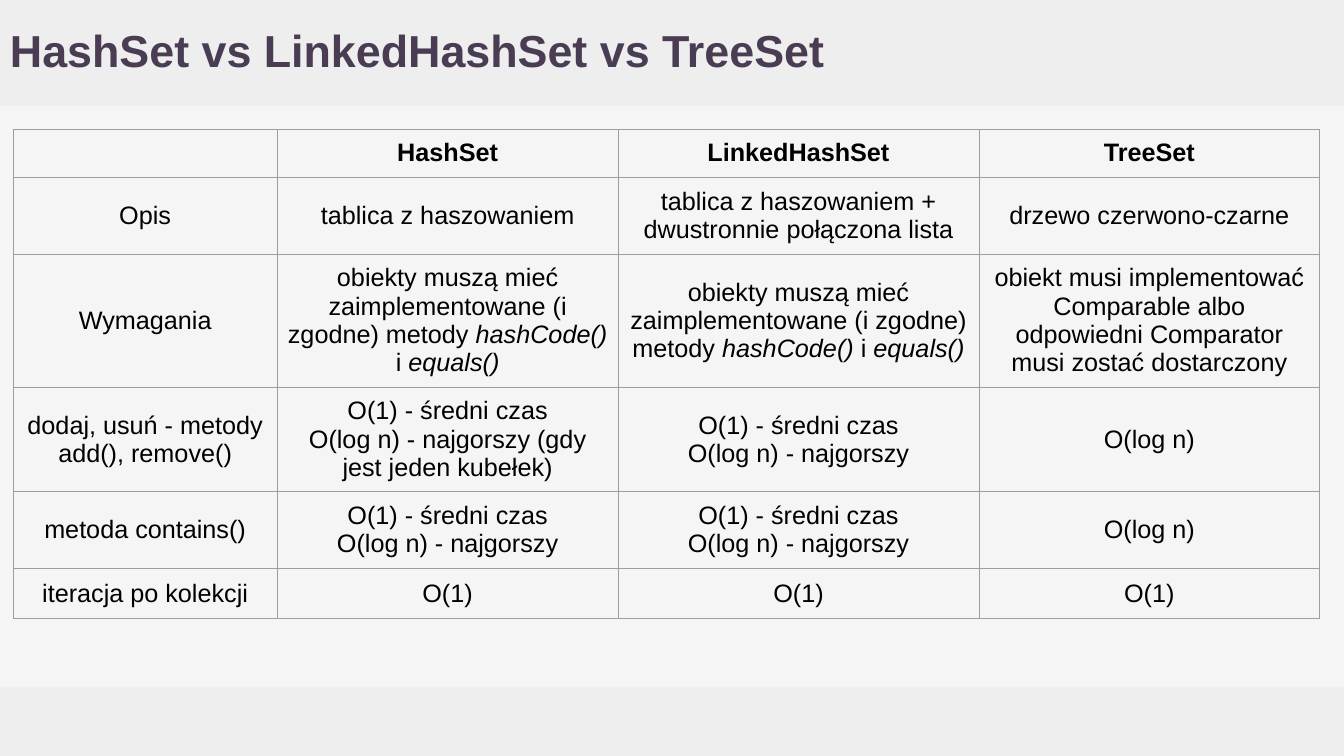
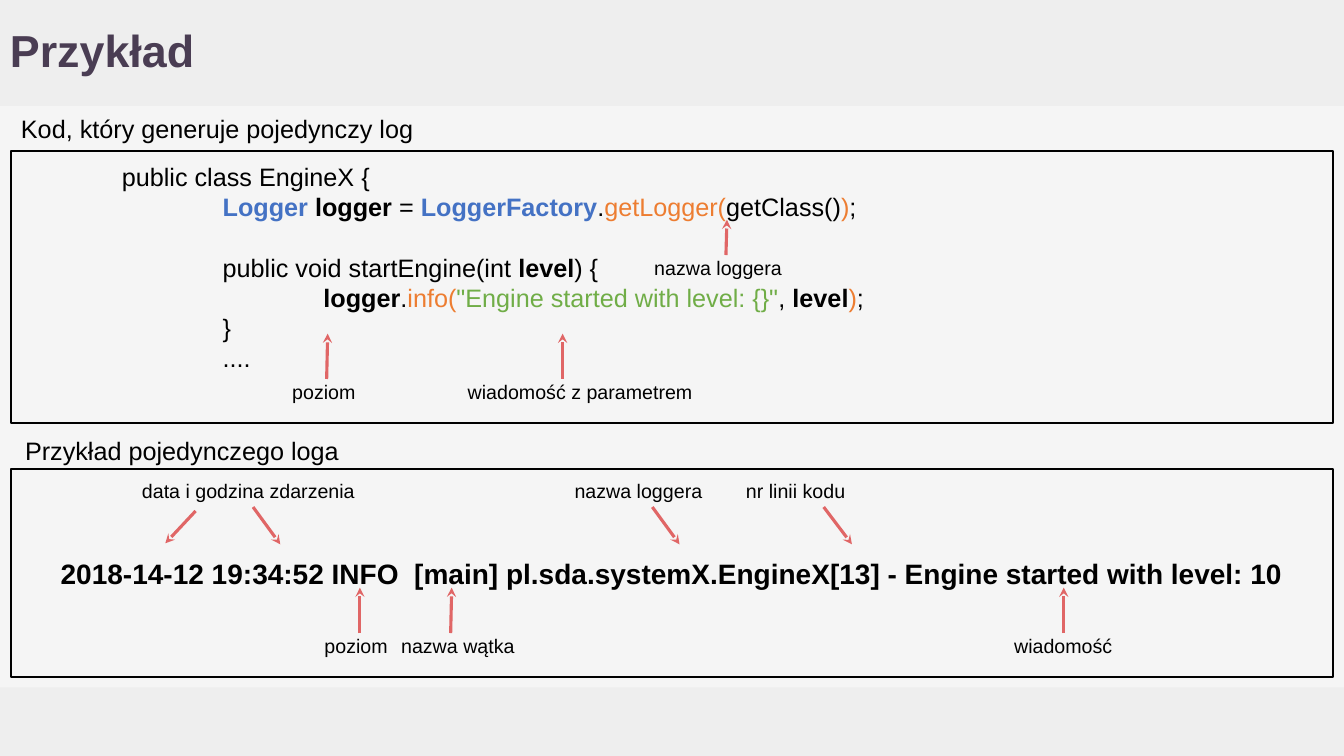
import pptx
import pptx.dml.color
import pptx.enum.shapes
import pptx.enum.text
import pptx.oxml
import pptx.oxml.ns
import pptx.util
from lxml import etree
from pptx.util import Inches

COLORS = {
    "background": "F5F5F5", "band": "EEEEEE", "title": "4A3D53",
    "text": "000000", "border": "9E9E9E", "arrow": "E06666",
    "type": "4472C4", "method": "ED7D31", "string": "70AD47",
}
RGB = {name: pptx.dml.color.RGBColor.from_string(value) for name, value in COLORS.items()}
RUN_STYLES = {
    "plain": {},
    "bold": {"bold": True},
    "italic": {"italic": True},
    "type": {"color": "type", "bold": True},
    "method": {"color": "method"},
    "string": {"color": "string"},
}
LEFT = pptx.enum.text.PP_ALIGN.LEFT
CENTER = pptx.enum.text.PP_ALIGN.CENTER
TOP = pptx.enum.text.MSO_ANCHOR.TOP
MIDDLE = pptx.enum.text.MSO_ANCHOR.MIDDLE
RECTANGLE = pptx.enum.shapes.MSO_SHAPE.RECTANGLE


def write_text(holder, lines, size=18, bold=False, color="text", align=LEFT, anchor=TOP,
               spacing=1.0, vertical_margin=0.1):
    """Fill a shape or table cell; a line is a string or a list of (text, run style)."""
    frame = holder.text_frame
    box = holder if hasattr(holder, "margin_left") else frame
    box.margin_left = box.margin_right = Inches(0.1)
    box.margin_top = box.margin_bottom = Inches(vertical_margin)
    box.vertical_anchor = anchor
    if box is frame:
        frame.word_wrap = True
    for index, line in enumerate(lines):
        paragraph = frame.add_paragraph() if index else frame.paragraphs[0]
        paragraph.alignment = align
        paragraph.line_spacing = spacing
        for text, style in [(line, "plain")] if isinstance(line, str) else line:
            look = RUN_STYLES[style]
            run = paragraph.add_run()
            run.text = text
            run.font.name = "Arial"
            run.font.size = pptx.util.Pt(size)
            run.font.bold = look.get("bold", bold)
            run.font.italic = look.get("italic", False)
            run.font.color.rgb = RGB[look.get("color", color)]


def add_rectangle(slide, left, top, width, height, fill=None, line=None):
    shape = slide.shapes.add_shape(
        RECTANGLE, Inches(left), Inches(top), Inches(width), Inches(height))
    shape.shadow.inherit = False
    if fill:
        shape.fill.solid()
        shape.fill.fore_color.rgb = RGB[fill]
    else:
        shape.fill.background()
    if line:
        shape.line.color.rgb = RGB[line]
        shape.line.width = pptx.util.Pt(1.5)
    else:
        shape.line.fill.background()
    return shape


presentation = pptx.Presentation()
presentation.slide_width = Inches(13.33)
presentation.slide_height = Inches(7.5)
master_fill = presentation.slide_master.background.fill
master_fill.solid()
master_fill.fore_color.rgb = RGB["background"]

# Bands and titles
slides = []
for title in ["HashSet vs LinkedHashSet vs TreeSet", "Przykład"]:
    slide = presentation.slides.add_slide(presentation.slide_layouts[6])
    for top, height in [(6.82, 0.68), (0, 1.05)]:
        add_rectangle(slide, 0, top, 13.33, height, fill="band")
    title_box = slide.shapes.add_textbox(0, 0, Inches(11.92), Inches(1.05))
    write_text(title_box, [title], size=32, bold=True, color="title", anchor=MIDDLE, spacing=0.9)
    slides.append(slide)
table_slide, example_slide = slides

# Comparison table
AVERAGE, WORST = "O(1) - średni czas", "O(log n) - najgorszy"
HASH_REQUIREMENTS = [[
    ("obiekty muszą mieć zaimplementowane (i zgodne) metody ", "plain"),
    ("hashCode()", "italic"), (" i ", "plain"), ("equals()", "italic"),
]]
table_rows = [
    [[], ["HashSet"], ["LinkedHashSet"], ["TreeSet"]],
    [["Opis"], ["tablica z haszowaniem"],
     ["tablica z haszowaniem + dwustronnie połączona lista"], ["drzewo czerwono-czarne"]],
    [["Wymagania"], HASH_REQUIREMENTS, HASH_REQUIREMENTS,
     ["obiekt musi implementować Comparable albo odpowiedni Comparator musi zostać dostarczony"]],
    [["dodaj, usuń - metody add(), remove()"],
     [AVERAGE, WORST + " (gdy jest jeden kubełek)"], [AVERAGE, WORST], ["O(log n)"]],
    [["metoda contains()"], [AVERAGE, WORST], [AVERAGE, WORST], ["O(log n)"]],
    [["iteracja po kolekcji"], ["O(1)"], ["O(1)"], ["O(1)"]],
]
column_widths = [2.62, 3.38, 3.58, 3.38]
row_heights = [0.48, 0.76, 1.32, 1.04, 0.76, 0.5]
table = table_slide.shapes.add_table(
    len(row_heights), len(column_widths), Inches(0.13), Inches(1.28),
    Inches(sum(column_widths)), Inches(sum(row_heights))).table
table.first_row = table.horz_banding = False
for column, width in zip(table.columns, column_widths):
    column.width = Inches(width)
for row_index, (row, height) in enumerate(zip(table.rows, row_heights)):
    row.height = Inches(height)
    for cell, lines in zip(row.cells, table_rows[row_index]):
        write_text(cell, lines, bold=row_index == 0, align=CENTER, anchor=MIDDLE,
                   vertical_margin=0.04)
        properties = cell._tc.get_or_add_tcPr()
        for side in ["lnL", "lnR", "lnT", "lnB"]:
            properties.append(pptx.oxml.parse_xml(
                f'<a:{side} {pptx.oxml.ns.nsdecls("a")} w="9525"><a:solidFill>'
                f'<a:srgbClr val="{COLORS["border"]}"/></a:solidFill></a:{side}>'))
        cell.fill.background()

# Code and log frames
code_frame = add_rectangle(example_slide, 0.11, 1.5, 13.11, 2.7, line="text")
log_frame = add_rectangle(example_slide, 0.11, 4.65, 13.11, 2.07, line="text")
write_text(
    log_frame,
    ["2018-14-12 19:34:52 INFO  [main] pl.sda.systemX.EngineX[13] - Engine started with level: 10"],
    size=20, bold=True, align=CENTER, anchor=MIDDLE)

code_lines = [
    (1, "public class EngineX {"),
    (2, [("Logger ", "type"), ("logger ", "bold"), ("= ", "plain"), ("LoggerFactory", "type"),
         (".", "plain"), ("getLogger(", "method"), ("getClass()", "plain"),
         (")", "method"), (";", "plain")]),
    (2, [("public void startEngine(int ", "plain"), ("level", "bold"), (") {", "plain")]),
    (3, [("logger", "bold"), (".", "plain"), ("info(", "method"),
         ('"Engine started with level: {}"', "string"), (", ", "plain"), ("level", "bold"),
         (")", "method"), (";", "plain")]),
    (2, "}"),
    (2, "...."),
]
write_text(code_frame, [line for _, line in code_lines])
code_paragraphs = code_frame.text_frame.paragraphs
for paragraph, (indent, _) in zip(code_paragraphs, code_lines):
    paragraph._p.get_or_add_pPr().set("marL", str(Inches(indent)))
code_paragraphs[2].space_before = pptx.util.Pt(21.5)

# Headings and labels: text, left, top, width, size
for text, left, top, width, size in [
    ("Kod, który generuje pojedynczy log", 0.11, 1.02, 4.36, 18),
    ("Przykład pojedynczego loga", 0.15, 4.22, 3.53, 18),
    ("nazwa loggera", 6.39, 2.44, 1.52, 14),
    ("poziom", 2.8, 3.67, 0.9, 14),
    ("wiadomość z parametrem", 4.54, 3.67, 2.54, 14),
    ("data i godzina zdarzenia", 1.31, 4.65, 2.37, 14),
    ("nazwa loggera", 5.6, 4.65, 1.52, 14),
    ("nr linii kodu", 7.3, 4.65, 1.52, 14),
    ("poziom", 3.12, 6.19, 0.9, 14),
    ("nazwa wątka", 3.88, 6.19, 1.39, 14),
    ("wiadomość", 9.96, 6.19, 1.24, 14),
]:
    label = example_slide.shapes.add_textbox(
        Inches(left), Inches(top), Inches(width), Inches(0.31))
    write_text(label, [text], size=size)

# Arrows: start x, start y, tip x, tip y
for start_x, start_y, tip_x, tip_y in [
    (7.2, 2.53, 7.21, 2.18),
    (3.24, 3.76, 3.25, 3.31),
    (5.58, 3.76, 5.58, 3.31),
    (1.94, 5.07, 1.64, 5.39),
    (2.51, 5.03, 2.78, 5.4),
    (6.47, 5.03, 6.74, 5.4),
    (8.17, 5.03, 8.45, 5.4),
    (3.57, 6.28, 3.57, 5.83),
    (4.47, 6.28, 4.48, 5.83),
    (10.55, 6.28, 10.55, 5.83),
]:
    arrow = example_slide.shapes.add_connector(
        pptx.enum.shapes.MSO_CONNECTOR.STRAIGHT,
        Inches(start_x), Inches(start_y), Inches(tip_x), Inches(tip_y))
    arrow.line.color.rgb = RGB["arrow"]
    arrow.line.width = pptx.util.Pt(2.25)
    etree.SubElement(arrow.line._get_or_add_ln(), pptx.oxml.ns.qn("a:tailEnd"), type="stealth")
    etree.SubElement(arrow._element.spPr, pptx.oxml.ns.qn("a:effectLst"))

presentation.save("out.pptx")
